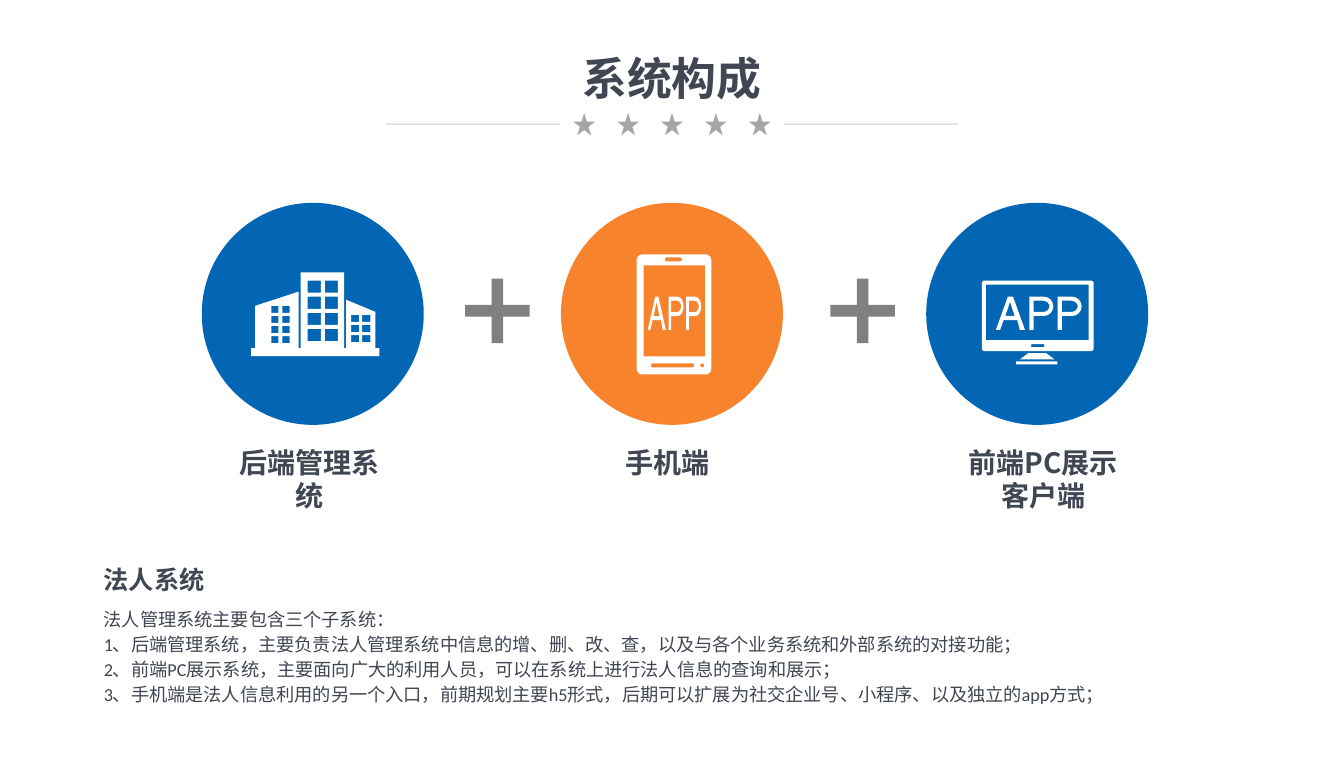
from math import cos, pi, sin

from lxml.etree import SubElement
from pptx import Presentation
from pptx.dml.color import RGBColor
from pptx.enum.shapes import MSO_CONNECTOR as Connector, MSO_SHAPE as Shape
from pptx.enum.text import MSO_AUTO_SIZE as AutoSize, PP_ALIGN as Align
from pptx.oxml.ns import qn
from pptx.util import Inches, Pt

COLORS = {
    "blue": "0266B4", "orange": "F8832D", "white": "FFFFFF",
    "plus": "808080", "ornament": "A5A5A5", "text": "404652",
}
HEADING_FONT, BODY_FONT = "Noto Sans CJK SC", "Calibri"


def color(name):
    return RGBColor.from_string(COLORS[name])


def arc(x, y, radius_x, radius_y, start, end, steps=8):
    """Points of an elliptical arc; angles in quarter turns, clockwise from the right."""
    angles = [(start + (end - start) * i / steps) * pi / 2 for i in range(steps + 1)]
    return [(x + radius_x * cos(a), y + radius_y * sin(a)) for a in angles]


def box(left, top, right, bottom, radius=0):
    """Outline of a rectangle, with rounded corners if a radius is given."""
    if not radius:
        return [(left, top), (right, top), (right, bottom), (left, bottom)]
    centers = box(left + radius, top + radius, right - radius, bottom - radius)
    return [point for i, (x, y) in enumerate(centers)
            for point in arc(x, y, radius, radius, i + 2, i + 3)]


def windows(lefts, top, rows, pitch, width, height):
    return [box(x, top + pitch * row, x + width, top + pitch * row + height)
            for x in lefts for row in range(rows)]


def app_letters(left, top, width, height):
    """Outlines of the letters APP, stretched to the given area."""
    letters = [
        [(0.09, 0.7), (0.25, 0.7), (0.28, 1), (0.34, 1),
         (0.2, 0), (0.14, 0), (0, 1), (0.05, 1)],
        [(0.22, 0.58), (0.11, 0.58), (0.165, 0.15)],
    ]
    for x in (0.39, 0.72):
        letters.append([(x, 0), *arc(x + 0.17, 0.29, 0.11, 0.29, -1, 1),
                        (x + 0.05, 0.58), (x + 0.05, 1), (x, 1)])
        letters.append([(x + 0.05, 0.12), *arc(x + 0.155, 0.29, 0.08, 0.17, -1, 1),
                        (x + 0.05, 0.46)])
    return [[(left + u * width, top + v * height) for u, v in outline]
            for outline in letters]


def building_icon():
    skyline = [
        (3.72, 3.45), (3.72, 3.09), (3.43, 2.97), (3.43, 3.45), (3.41, 3.45),
        (3.41, 2.7), (2.98, 2.7), (2.98, 3.45), (2.96, 3.45), (2.96, 2.89),
        (2.53, 3.03), (2.53, 3.45), (2.49, 3.45), (2.49, 3.53), (3.76, 3.53), (3.76, 3.45),
    ]
    return [skyline,
            *windows((2.69, 2.8), 3.03, 4, 0.1, 0.07, 0.07),
            *windows((3.05, 3.22), 2.78, 4, 0.16, 0.13, 0.12),
            *windows((3.48, 3.59), 3.12, 3, 0.1, 0.08, 0.07)]


def phone_icon():
    return [box(6.31, 2.52, 7.05, 3.71, 0.06),
            box(6.59, 2.55, 6.76, 2.59, 0.02),
            box(6.45, 3.6, 6.88, 3.64, 0.02),
            box(6.94, 3.6, 6.98, 3.64, 0.02),
            box(6.38, 2.63, 6.99, 3.53),
            *app_letters(6.42, 2.94, 0.53, 0.33)]


def monitor_icon():
    return [box(9.73, 2.78, 10.84, 3.48, 0.03),
            box(10.22, 3.41, 10.35, 3.44, 0.01),
            box(9.77, 2.82, 10.79, 3.37),
            [(10.45, 3.56), (10.11, 3.56), (10.19, 3.5), (10.37, 3.5)],
            box(10.07, 3.58, 10.48, 3.61),
            *app_letters(9.87, 2.94, 0.85, 0.33)]


class SlideBuilder:
    def __init__(self, slide):
        self.slide = slide
        self.font = {"name": HEADING_FONT, "size": Pt(20), "bold": True}

    def paint(self, shape, fill):
        shape.shadow.inherit = False
        shape.fill.solid()
        shape.fill.fore_color.rgb = color(fill)
        shape.line.fill.background()

    def preset(self, kind, left, top, size, fill):
        shape = self.slide.shapes.add_shape(
            kind, Inches(left), Inches(top), Inches(size), Inches(size))
        self.paint(shape, fill)
        return shape

    def icon(self, outlines):
        """Draw closed outlines as one white shape; inner ones are cut out."""
        builder = None
        for outline in outlines:
            start, *rest = [(Inches(x), Inches(y)) for x, y in outline]
            if builder is None:
                builder = self.slide.shapes.build_freeform(*start)
            else:
                builder.move_to(*start)
            builder.add_line_segments(rest, close=True)
        self.paint(builder.convert_to_shape(), "white")

    def rule(self, left, right, y):
        line = self.slide.shapes.add_connector(
            Connector.STRAIGHT, Inches(left), Inches(y), Inches(right), Inches(y))
        line.line.color.rgb = color("ornament")
        line.line.width = Pt(0.75)
        properties = line._element.spPr
        tint = next(properties.iter(qn("a:srgbClr")))
        SubElement(tint, qn("a:alpha"), val="60000")
        SubElement(properties, qn("a:effectLst"))

    def text(self, area, lines, wrap=True, layout=None, **font):
        frame = self.slide.shapes.add_textbox(*map(Inches, area)).text_frame
        frame.word_wrap = wrap
        frame.auto_size = AutoSize.SHAPE_TO_FIT_TEXT
        for i, line in enumerate(lines):
            paragraph = frame.paragraphs[0] if i == 0 else frame.add_paragraph()
            for name, value in (layout or {"alignment": Align.CENTER}).items():
                setattr(paragraph, name, value)
            run = paragraph.add_run()
            run.text = line
            for name, value in {**self.font, **font}.items():
                setattr(run.font, name, value)
            run.font.color.rgb = color("text")
            SubElement(run._r.get_or_add_rPr(), qn("a:ea"), typeface=HEADING_FONT)


def main():
    presentation = Presentation()
    presentation.slide_width, presentation.slide_height = Inches(13.32), Inches(7.5)
    builder = SlideBuilder(presentation.slides.add_slide(presentation.slide_layouts[6]))

    builder.text((5.67, 0.45, 1.98, 0.64), ["系统构成"], wrap=False, size=Pt(32))
    for i in range(5):
        builder.preset(Shape.STAR_5_POINT, 5.68 + 0.435 * i, 1.12, 0.22, "ornament")
    for left in (3.83, 7.77):
        builder.rule(left, left + 1.72, 1.23)

    subsystems = [
        (2, "blue", building_icon(), 2.16, 0.77, "后端管理系统"),
        (5.56, "orange", phone_icon(), 5.71, 0.44, "手机端"),
        (9.18, "blue", monitor_icon(), 9.43, 0.77, "前端PC展示客户端"),
    ]
    for circle_left, fill, outlines, label_left, label_height, label in subsystems:
        builder.preset(Shape.OVAL, circle_left, 2.01, 2.2, fill)
        builder.icon(outlines)
        builder.text((label_left, 4.36, 1.82, label_height), [label])
    for left in (4.61, 8.23):
        plus = builder.preset(Shape.CROSS, left, 2.76, 0.64, "plus")
        plus.adjustments[0] = 0.41

    builder.text((0.93, 5.54, 1.2, 0.4), ["法人系统"], wrap=False,
                 layout={"alignment": Align.LEFT}, size=Pt(18))
    builder.text((0.93, 5.94, 11.35, 1.11), [
        "法人管理系统主要包含三个子系统：",
        "1、后端管理系统，主要负责法人管理系统中信息的增、删、改、查，以及与各个业务系统和外部系统的对接功能；",
        "2、前端PC展示系统，主要面向广大的利用人员，可以在系统上进行法人信息的查询和展示；",
        "3、手机端是法人信息利用的另一个入口，前期规划主要h5形式，后期可以扩展为社交企业号、小程序、以及独立的app方式；",
    ], layout={"alignment": Align.JUSTIFY, "line_spacing": Pt(18)},
        name=BODY_FONT, size=Pt(13), bold=False)

    presentation.save("out.pptx")


if __name__ == "__main__":
    main()
